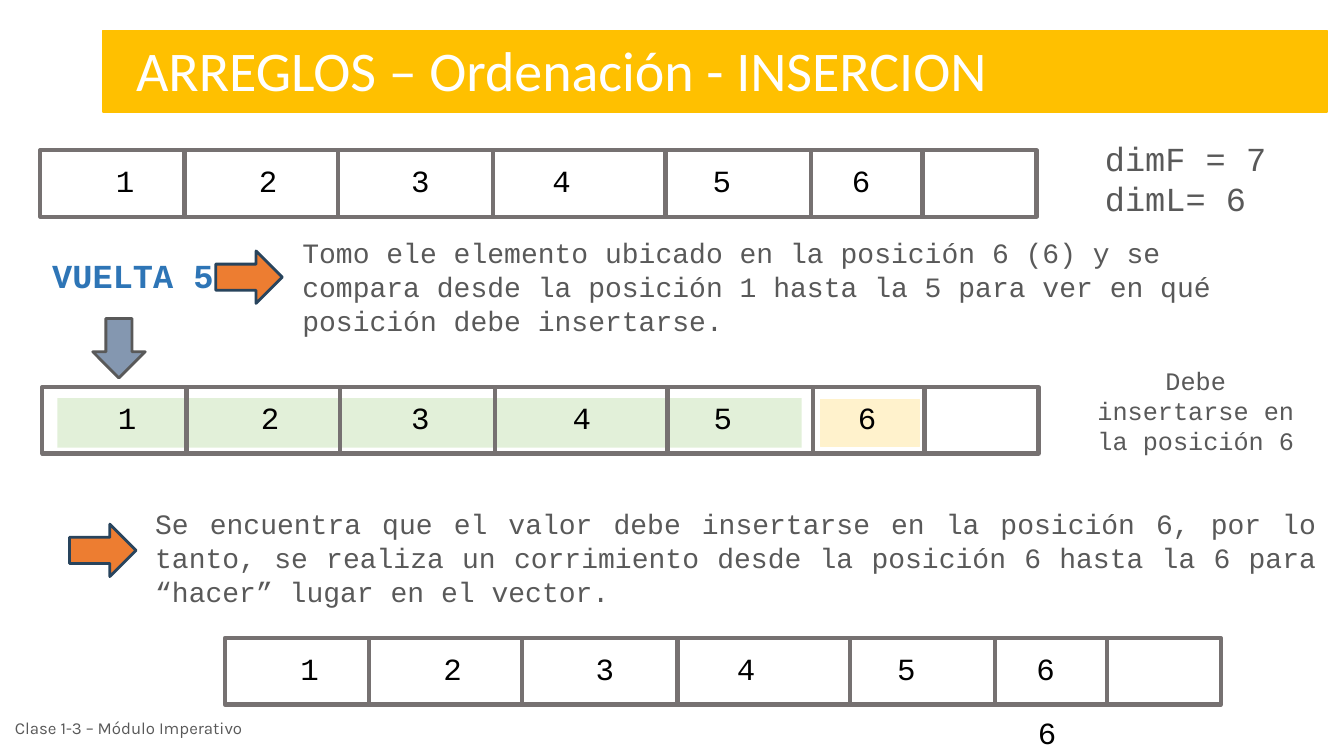
from lxml import etree
from pptx import Presentation
from pptx.dml.color import RGBColor
from pptx.enum import shapes, text
from pptx.oxml.ns import qn
from pptx.util import Inches, Pt

WHITE = RGBColor(0xFF, 0xFF, 0xFF)
BLACK = RGBColor(0, 0, 0)
AMBER = RGBColor(0xFF, 0xC0, 0x00)
CREAM = RGBColor(0xFF, 0xF2, 0xCC)
GREEN = RGBColor(0xE2, 0xF0, 0xD9)
ORANGE = RGBColor(0xED, 0x7D, 0x31)
NAVY = RGBColor(0x28, 0x44, 0x5D)
BLUE = RGBColor(0x2E, 0x75, 0xB6)
STEEL = RGBColor(0x84, 0x97, 0xB0)
FRAME = RGBColor(0x76, 0x71, 0x71)
GREY = RGBColor(0x59, 0x59, 0x59)

LEFT, CENTER, JUSTIFY = text.PP_ALIGN.LEFT, text.PP_ALIGN.CENTER, text.PP_ALIGN.JUSTIFY
TOP, MIDDLE = text.MSO_ANCHOR.TOP, text.MSO_ANCHOR.MIDDLE
RECTANGLE, DOWN_ARROW = shapes.MSO_SHAPE.RECTANGLE, shapes.MSO_SHAPE.DOWN_ARROW
CODE_FONT = "Courier New"

TITLE = "ARREGLOS – Ordenación - INSERCION"
TITLE_AREA = (1.25, 0.3, 9.35, 0.77)

# kind, area, fill, line colour, line width, rotation
BLOCKS = [
    (RECTANGLE, (8.14, 3.96, 0.98, 0.47), CREAM, CREAM, 0.75, 0),
    (RECTANGLE, (0.57, 3.95, 7.38, 0.49), GREEN, None, 0, 0),
    (RECTANGLE, (1.02, 0.3, 12.14, 0.81), AMBER, AMBER, 1, 0),
    (DOWN_ARROW, (0.76, 5.13, 0.52, 0.66), ORANGE, NAVY, 2, 270),
    (DOWN_ARROW, (2.21, 2.42, 0.52, 0.66), ORANGE, NAVY, 2, 270),
    (DOWN_ARROW, (0.92, 3.16, 0.52, 0.59), STEEL, GREY, 2, 0),
]

# area, lines, size, colour, alignment
NOTES = [
    ((10.86, 1.32, 2.3, 0.91), ["dimF = 7", "dimL= 6"], 24, GREY, LEFT),
    ((1.44, 4.98, 11.72, 1.11),
     ["Se encuentra que el valor debe insertarse en la posición 6, por lo tanto, "
      "se realiza un corrimiento desde la posición 6 hasta la 6 para “hacer” lugar "
      "en el vector."], 20, GREY, JUSTIFY),
    ((2.9, 2.29, 10.02, 1.11),
     ["Tomo ele elemento ubicado en la posición 6 (6) y se compara desde la posición 1 "
      "hasta la 5 para ver en qué posición debe insertarse."], 20, GREY, LEFT),
    ((10.71, 3.57, 2.3, 1.01), ["Debe insertarse en la posición 6"], 18, GREY, CENTER),
    ((9.8, 7.03, 1.17, 0.47), ["6"], 22, BLACK, CENTER),
]
ROUND_LABEL = ((0.42, 2.48, 2.3, 0.5), ["VUELTA 5"], 24, BLUE, LEFT)
FOOTER = ((0.05, 6.98, 3.16, 0.48), ["Clase 1-3 – Módulo Imperativo"], 12, GREY, LEFT)

ARRAY_WIDTH, ARRAY_HEIGHT = 9.88, 0.66
DIVIDERS = [1.43, 2.95, 4.49, 6.2, 7.64, 8.75]
VALUE_CENTERS = [0.84, 2.26, 3.77, 5.17, 6.76, 8.14]
COMPARED_CENTERS = [0.84, 2.26, 3.75, 5.35, 6.75, 8.18]
VALUES = ["1", "2", "3", "4", "5", "6"]
VALUE_WIDTH, VALUE_HEIGHT = 1.15, 0.47
# left, top, centers of the values measured from the left
ARRAYS = [
    (0.4, 1.49, VALUE_CENTERS),
    (0.42, 3.84, COMPARED_CENTERS),
    (2.23, 6.33, VALUE_CENTERS),
]


def inches(area):
    return [Inches(value) for value in area]


def add_block(slide, kind, area, fill, line, width, rotation=0):
    block = slide.shapes.add_shape(kind, *inches(area))
    block.shadow.inherit = False
    block.rotation = rotation
    if fill is None:
        block.fill.background()
    else:
        block.fill.solid()
        block.fill.fore_color.rgb = fill
    if line is None:
        block.line.fill.background()
    else:
        block.line.color.rgb = line
        block.line.width = Pt(width)


def write(box, lines, size, color, align, font=CODE_FONT, bold=False, anchor=TOP):
    frame = box.text_frame
    frame.word_wrap = True
    frame.vertical_anchor = anchor
    frame.text = "\n".join(lines)
    for para in frame.paragraphs:
        para.alignment = align
        para.font.name = font
        para.font.size = Pt(size)
        para.font.bold = bold
        para.font.color.rgb = color


def add_note(slide, area, *content, **style):
    write(slide.shapes.add_textbox(*inches(area)), *content, **style)


def add_divider(slide, x, top):
    divider = slide.shapes.add_connector(
        shapes.MSO_CONNECTOR.STRAIGHT, *inches((x, top, x, top + ARRAY_HEIGHT)))
    divider.line.color.rgb = FRAME
    divider.line.width = Pt(3)
    etree.SubElement(divider._element.spPr, qn("a:effectLst"))


def add_array(slide, left, top, centers):
    add_block(slide, RECTANGLE, (left, top, ARRAY_WIDTH, ARRAY_HEIGHT), None, FRAME, 3)
    for offset in DIVIDERS:
        add_divider(slide, left + offset, top)
    for value, center in zip(VALUES, centers):
        area = (left + center - VALUE_WIDTH / 2, top + 0.07, VALUE_WIDTH, VALUE_HEIGHT)
        add_note(slide, area, [value], 22, BLACK, CENTER)


def main():
    deck = Presentation()
    deck.slide_width, deck.slide_height = Inches(13.33), Inches(7.5)
    slide = deck.slides.add_slide(deck.slide_layouts[5])

    for block in BLOCKS:
        add_block(slide, *block)

    title = slide.shapes.title
    title.left, title.top, title.width, title.height = inches(TITLE_AREA)
    write(title, [TITLE], 40, WHITE, LEFT, font="Calibri")
    slide.shapes._spTree.append(title._element)  # in front of the banner

    for array in ARRAYS:
        add_array(slide, *array)
    for note in NOTES:
        add_note(slide, *note)
    add_note(slide, *ROUND_LABEL, bold=True)
    add_note(slide, *FOOTER, font="Karla", anchor=MIDDLE)
    deck.save("out.pptx")


if __name__ == "__main__":
    main()
